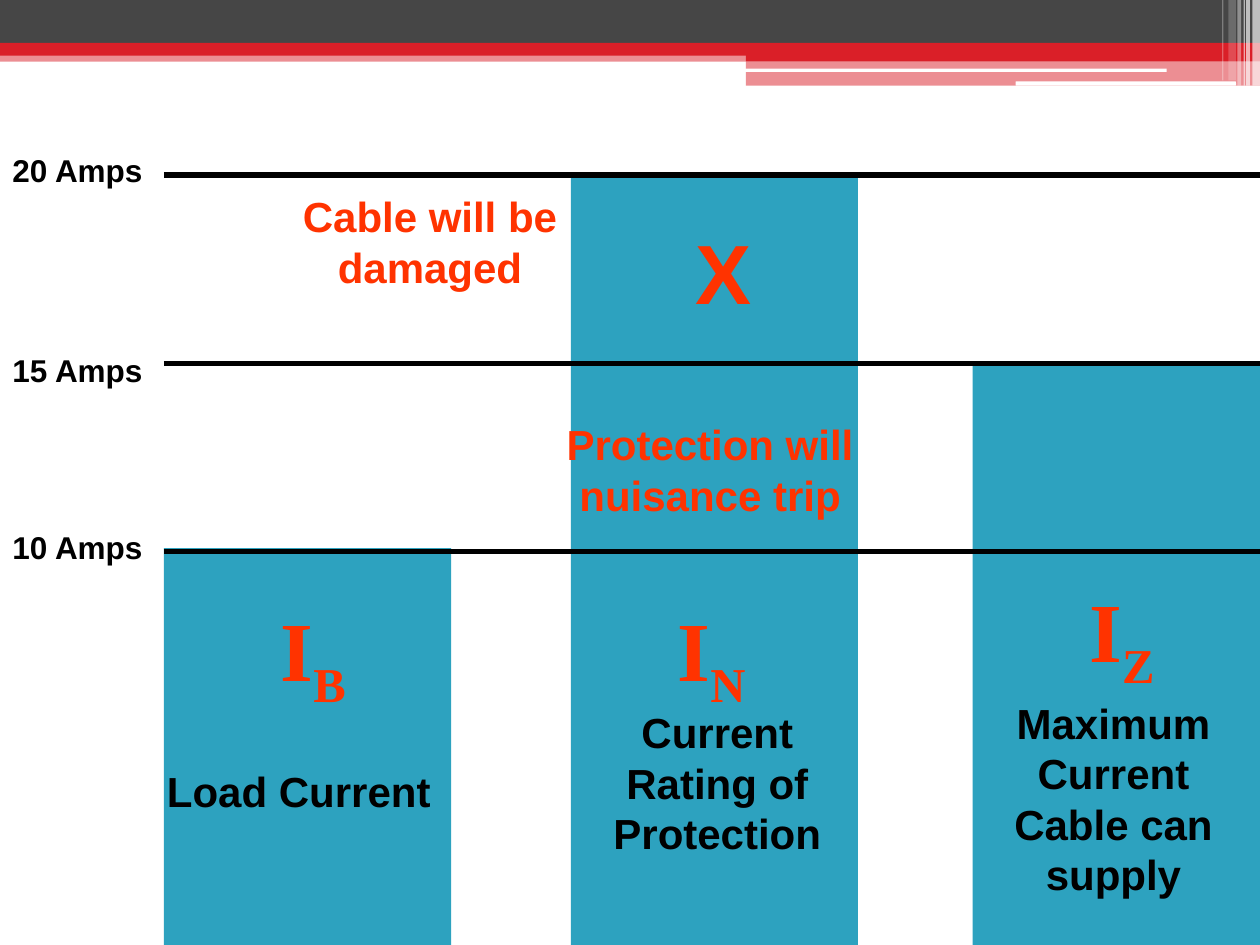
from dataclasses import dataclass

from lxml.etree import SubElement
from pptx import Presentation
from pptx.dml.color import RGBColor
from pptx.enum.shapes import MSO_CONNECTOR, MSO_SHAPE
from pptx.enum.text import MSO_AUTO_SIZE, PP_ALIGN
from pptx.oxml.ns import qn
from pptx.util import Inches, Pt


@dataclass(frozen=True)
class Theme:
    dark: str = "464646"
    red: str = "DA1F28"
    white: str = "FFFFFF"
    bar: str = "2DA2BF"
    ink: str = "000000"
    alert: str = "FF3300"
    sans: str = "Arial"
    serif: str = "Times New Roman"
    label: int = 18
    note: int = 24
    mark: int = 48


THEME = Theme()
WIDE, HIGH = 10, 7.5
ROW = 1.495   # height of 5 amps
COL = 2.28    # width of one bar


def add_block(slide, box, color, alpha=100, kind=MSO_SHAPE.RECTANGLE):
    shape = slide.shapes.add_shape(kind, *map(Inches, box))
    shape.shadow.inherit = False
    shape.line.fill.background()
    shape.fill.solid()
    shape.fill.fore_color.rgb = RGBColor.from_string(color)
    if alpha < 100:
        tint = shape.fill._xPr.find(qn("a:solidFill"))[0]
        SubElement(tint, qn("a:alpha")).set("val", str(alpha * 1000))


def add_text(slide, box, lines, size, color, font=THEME.sans,
             align=PP_ALIGN.CENTER):
    shape = slide.shapes.add_textbox(*map(Inches, box))
    frame = shape.text_frame
    frame.word_wrap = True
    frame.auto_size = MSO_AUTO_SIZE.SHAPE_TO_FIT_TEXT
    frame.text = lines
    for para in frame.paragraphs:
        para.alignment = align
        for run in para.runs:
            run.font.size = Pt(size)
            run.font.name = font
            run.font.bold = True
            run.font.color.rgb = RGBColor.from_string(color)
    return frame.paragraphs[0]


def cell(box, col, row, cols, rows):
    """Box measured in bar widths and 5 amp rows from a region's corner."""
    return box[0] + col * COL, box[1] + row * ROW, cols * COL, rows * ROW


def draw_band(slide, box):
    left, top, width, height = box

    def place(x, y, w, h, *look):
        area = (left + x * width, top + y * height, w * width, h * height)
        add_block(slide, area, *look)

    # Bands across the top and the step at the right
    place(0, 0.59, 1, 0.13, THEME.red, 50)
    place(0, 0, 1, 0.5, THEME.dark)
    place(0, 0.5, 1, 0.15, THEME.red)
    place(0.592, 0.57, 0.408, 0.14, THEME.red)
    place(0.592, 0.71, 0.408, 0.29, THEME.red, 50)
    # White slots
    for x, y, w, h in ((0.591, 0.8, 0.335, 0.04), (0.806, 0.95, 0.175, 0.05)):
        place(x, y, w, h, THEME.white, 100, MSO_SHAPE.ROUNDED_RECTANGLE)
    # Upright stripes
    for x, w, h, alpha in ((0.994, 0.006, 1, 65), (0.989, 0.003, 1, 65),
                           (0.987, 0.001, 1, 60), (0.982, 0.003, 1, 40),
                           (0.975, 0.006, 0.94, 20), (0.97, 0.001, 0.94, 30)):
        place(x, 0, w, h, THEME.white, alpha)


def draw_bar(slide, box, cuts):
    ends = cuts[1:] + (box[3] / ROW,)
    for start, end in zip(cuts, ends):
        add_block(slide, cell(box, 0, start, 1, end - start), THEME.bar)


def name_bar(slide, box, letter, mark, text, note):
    para = add_text(slide, cell(box, *mark, 1, 0.68), "I", THEME.mark,
                    THEME.alert, THEME.serif)
    sub = para.add_run()
    sub.text = letter
    sub.font.size = Pt(THEME.mark)
    sub.font.name = THEME.serif
    sub.font.bold = True
    sub.font.color.rgb = RGBColor.from_string(THEME.alert)
    sub.font._element.set("baseline", "-25000")
    add_text(slide, cell(box, *note, 1.02, 0.6), text, THEME.note, THEME.ink)


def draw_scale(slide, box):
    for row, (amps, drop) in enumerate(((20, -0.16), (15, 0.9), (10, 1.84))):
        y = Inches(box[1] + row * ROW)
        line = slide.shapes.add_connector(
            MSO_CONNECTOR.STRAIGHT, Inches(box[0]), y,
            Inches(box[0] + box[2]), y)
        line.line.width = Pt(3)
        line.line.color.rgb = RGBColor.from_string(THEME.ink)
        SubElement(line._element.spPr, qn("a:effectLst"))
        add_text(slide, cell((0, box[1]), 0, drop, 0.59, 0.27),
                 f"{amps} Amps", THEME.label, THEME.ink, align=PP_ALIGN.LEFT)


def draw_chart(slide, box):
    left, top, width, height = box
    load, rated, cable = ((left + x, top, COL, height)
                          for x in (0, 3.23, 6.42))
    # Bars first, then the scale across them
    draw_bar(slide, load, (1.98,))
    draw_bar(slide, rated, (0, 1, 2, 2.31))
    draw_bar(slide, cable, (1, 1.98))
    draw_scale(slide, box)
    # Names of the currents
    name_bar(slide, load, "B", (0.02, 2.21), "Load Current", (-0.04, 3.1))
    name_bar(slide, rated, "N", (-0.01, 2.21),
             "Current\nRating of Protection", (0, 2.79))
    name_bar(slide, cable, "Z", (0.02, 2.11),
             "Maximum Current\nCable can supply", (-0.02, 2.74))
    # Warnings
    for text, size, spot in (
            ("X", THEME.mark, (0.02, 0.21, 1.02, 0.6)),
            ("Cable will be damaged", THEME.note, (-1, 0.05, 1.02, 0.6)),
            ("Protection will nuisance trip", THEME.note,
             (-0.18, 1.26, 1.33, 0.6))):
        add_text(slide, cell(rated, *spot), text, size, THEME.alert)


def main():
    deck = Presentation()
    deck.slide_width, deck.slide_height = Inches(WIDE), Inches(HIGH)
    slide = deck.slides.add_slide(deck.slide_layouts[6])
    draw_band(slide, (0, 0, WIDE, 0.68))
    draw_chart(slide, (1.3, 1.39, WIDE - 1.3, HIGH - 1.39))
    deck.save("out.pptx")


if __name__ == "__main__":
    main()
